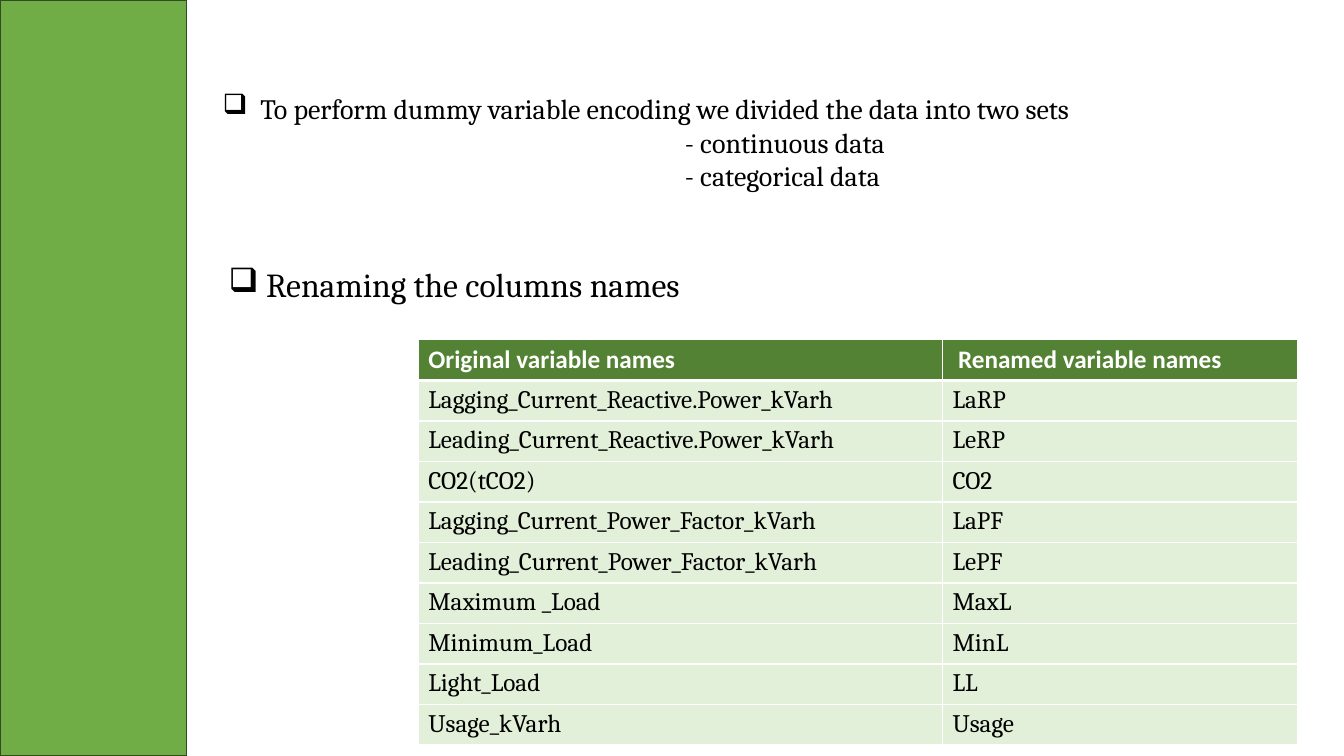
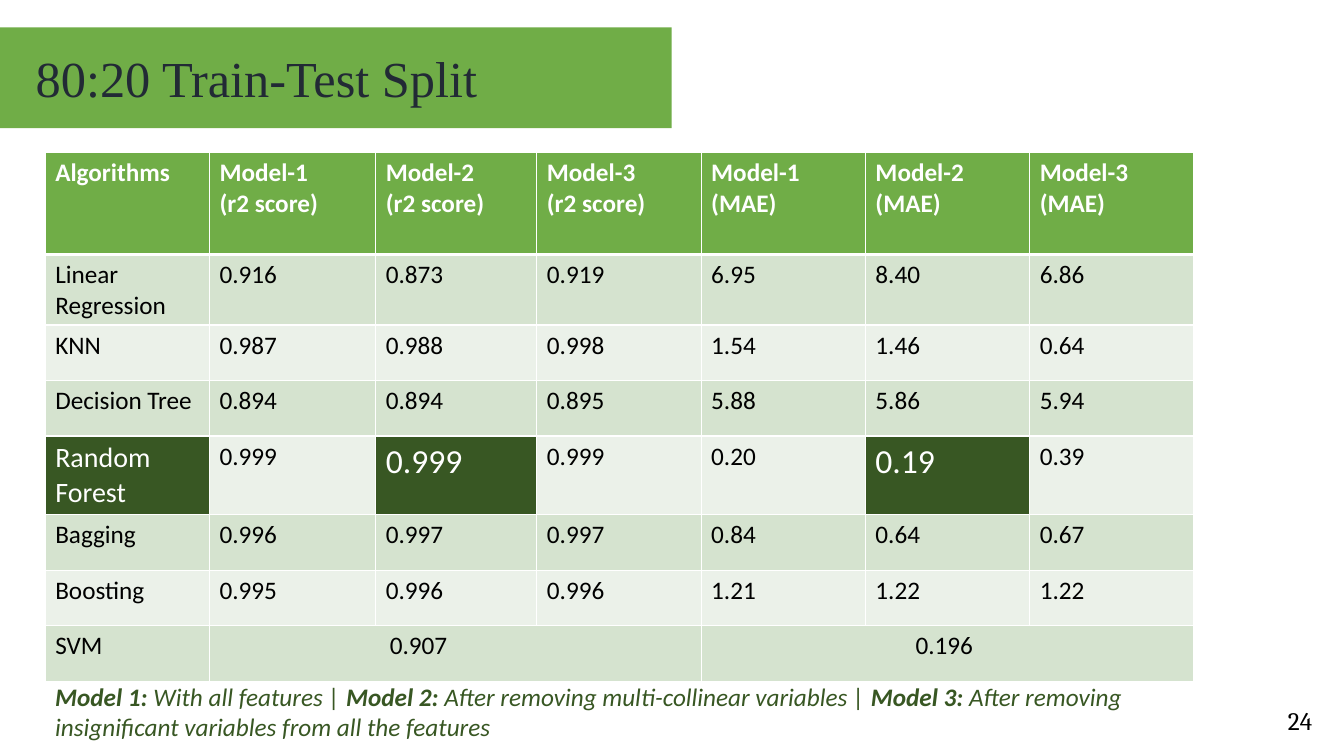
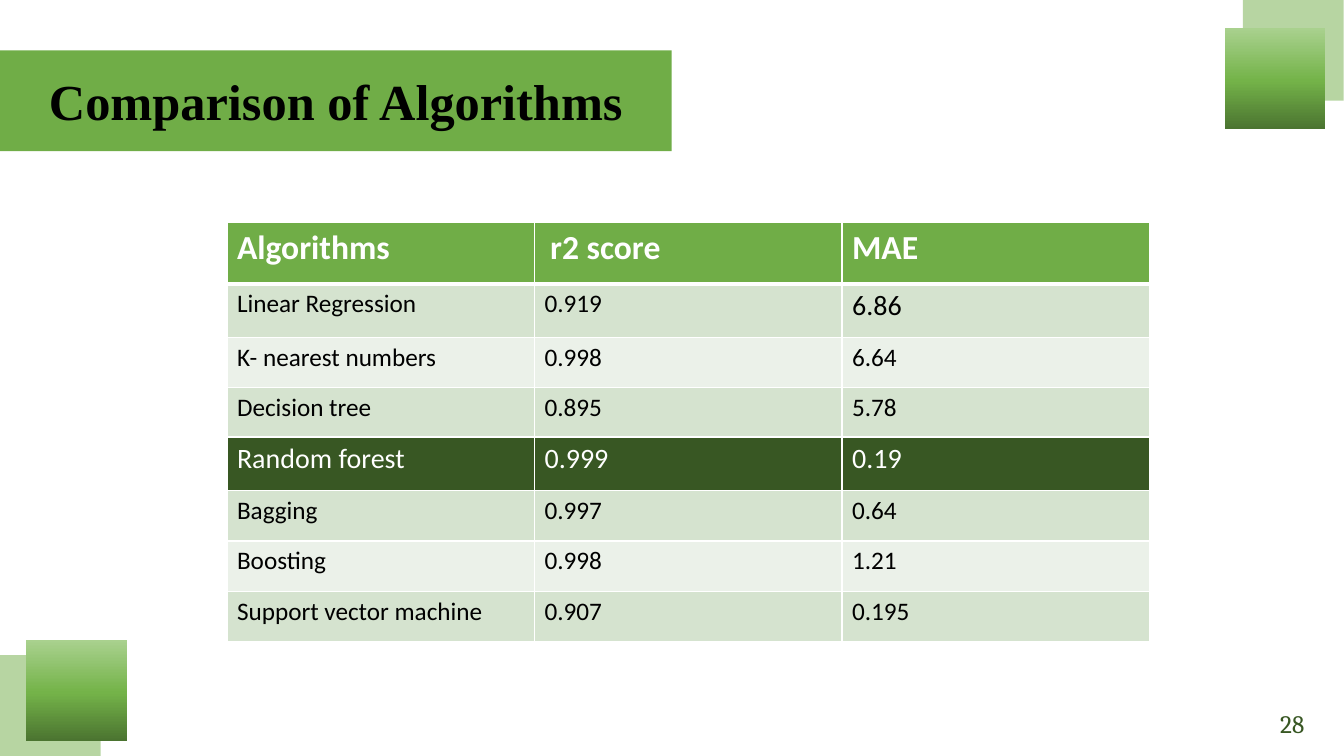
"""Builds three slides on data preparation and algorithm comparison."""
from dataclasses import dataclass, field

from lxml.etree import SubElement
from pptx import Presentation
from pptx.dml.color import RGBColor
from pptx.enum.shapes import MSO_SHAPE
from pptx.enum.text import MSO_ANCHOR, PP_ALIGN
from pptx.oxml.ns import qn
from pptx.shapes.autoshape import Shape
from pptx.slide import Slide
from pptx.table import _Cell
from pptx.text.text import TextFrame, _Paragraph
from pptx.util import Cm, Pt

GREEN = RGBColor(0x70, 0xAD, 0x47)
MID_GREEN = RGBColor(0x54, 0x82, 0x35)
DARK_GREEN = RGBColor(0x38, 0x57, 0x23)
EDGE_GREEN = RGBColor(0x31, 0x4C, 0x1F)
MINT = RGBColor(0xE2, 0xF0, 0xD9)
BAND_ODD = RGBColor(0xD5, 0xE3, 0xCF)
BAND_EVEN = RGBColor(0xEB, 0xF1, 0xE9)
SLATE = RGBColor(0x22, 0x2A, 0x35)
BLACK = RGBColor(0, 0, 0)
WHITE = RGBColor(0xFF, 0xFF, 0xFF)
GRADIENT = ((0, RGBColor(0x4B, 0x74, 0x30)),
            (48, RGBColor(0x74, 0xB3, 0x49)),
            (100, RGBColor(0xA9, 0xD1, 0x8E)))
SANS, SERIF, TITLE_FONT = "Calibri", "Cambria", "Times New Roman"
SQUARE = 2.54
CAPTION = (("Model 1: ", "With all features | "),
           ("Model 2: ", "After removing multi-collinear variables | "),
           ("Model 3: ", "After removing insignificant variables from all the features"))


@dataclass(frozen=True)
class Box:
    """Position and size in centimetres."""
    left: float
    top: float
    width: float
    height: float

    def emu(self) -> tuple[Cm, Cm, Cm, Cm]:
        return Cm(self.left), Cm(self.top), Cm(self.width), Cm(self.height)


@dataclass(frozen=True)
class Style:
    """Character formatting."""
    size: float
    font: str
    color: RGBColor = BLACK
    bold: bool = False
    italic: bool = False


@dataclass(frozen=True)
class Grid:
    """A table with its sizes, colours and exceptions by (row, column)."""
    left: float
    top: float
    cols: list[float]
    heights: list[float]
    rows: list[list[str]]
    head_fill: RGBColor = GREEN
    bands: tuple[RGBColor, RGBColor] = (BAND_ODD, BAND_EVEN)
    head_size: float = 18
    body_font: str = SANS
    sizes: dict[tuple[int, int], float] = field(default_factory=dict)
    dark: frozenset[tuple[int, int]] = frozenset()
    indents: dict[tuple[int, int], float] = field(default_factory=dict)
    merges: tuple[tuple[int, int, int], ...] = ()


def add_run(p: _Paragraph, text: str, style: Style) -> None:
    r = p.add_run()
    r.text = text
    r.font.size, r.font.name = Pt(style.size), style.font
    r.font.bold, r.font.italic = style.bold, style.italic
    r.font.color.rgb = style.color


def indent(p: _Paragraph, left: float, first: float = 0) -> None:
    pPr = p._p.get_or_add_pPr()
    pPr.set("marL", str(Cm(left)))
    pPr.set("indent", str(Cm(first)))


def add_bullet(p: _Paragraph) -> None:
    indent(p, 0.95, -0.95)
    SubElement(p._p.get_or_add_pPr(), qn("a:buChar"), char="❑")


def add_text(s: Slide, box: Box) -> TextFrame:
    tf = s.shapes.add_textbox(*box.emu()).text_frame
    tf.word_wrap = True
    return tf


def add_rect(s: Slide, box: Box) -> Shape:
    sp = s.shapes.add_shape(MSO_SHAPE.RECTANGLE, *box.emu())
    sp.shadow.inherit = False
    sp.fill.solid()
    sp.fill.fore_color.rgb = GREEN
    sp.line.fill.background()
    return sp


def add_title(s: Slide, top: float, text: str, style: Style, align: PP_ALIGN) -> None:
    tf = add_rect(s, Box(0, top, 16.93, 2.54)).text_frame
    tf.vertical_anchor = MSO_ANCHOR.MIDDLE
    if align == PP_ALIGN.LEFT:
        tf.margin_left = Cm(0.9)
    p = tf.paragraphs[0]
    p.alignment = align
    add_run(p, text, style)


def add_number(s: Slide, left: float, top: float, text: str, color: RGBColor) -> None:
    tf = add_text(s, Box(left, top, 7.62, 1.02))
    tf.vertical_anchor = MSO_ANCHOR.MIDDLE
    p = tf.paragraphs[0]
    p.alignment = PP_ALIGN.RIGHT
    add_run(p, text, Style(18, SERIF, color))


def add_corner(s: Slide, back: tuple[float, float], front: tuple[float, float]) -> None:
    pale = add_rect(s, Box(*back, SQUARE, SQUARE))
    color = pale.fill._xPr.find(qn("a:solidFill")).find(qn("a:srgbClr"))
    SubElement(color, qn("a:alpha"), val="50000")
    shaded = add_rect(s, Box(*front, SQUARE, SQUARE))
    shaded.fill.gradient()
    shaded.fill.gradient_angle = 90
    stops = shaded.fill._xPr.find(qn("a:gradFill")).find(qn("a:gsLst"))
    for stop in list(stops):
        stops.remove(stop)
    for percent, rgb in GRADIENT:
        stop = SubElement(stops, qn("a:gs"), pos=str(percent * 1000))
        SubElement(stop, qn("a:srgbClr"), val=str(rgb))


def set_borders(cell: _Cell, row: int) -> None:
    tcPr = cell._tc.get_or_add_tcPr()
    widths = {"L": 1, "R": 1, "T": 3 if row == 1 else 1, "B": 3 if row == 0 else 1}
    for side, width in widths.items():
        ln = SubElement(tcPr, qn(f"a:ln{side}"), w=str(Pt(width)))
        SubElement(SubElement(ln, qn("a:solidFill")), qn("a:srgbClr"), val=str(WHITE))


def fill_cell(cell: _Cell, grid: Grid, row: int, col: int) -> None:
    key = (row, col)
    head, dark = row == 0, key in grid.dark
    set_borders(cell, row)
    cell.fill.solid()
    band = grid.head_fill if head else grid.bands[(row - 1) % 2]
    cell.fill.fore_color.rgb = DARK_GREEN if dark else band
    if cell.is_spanned:
        return
    style = Style(grid.sizes.get(key, grid.head_size if head else 18),
                  SANS if head else grid.body_font,
                  WHITE if head or dark else BLACK, bold=head)
    tf = cell.text_frame
    for i, line in enumerate(grid.rows[row][col].split("\n")):
        p = tf.add_paragraph() if i else tf.paragraphs[0]
        if key in grid.indents:
            indent(p, grid.indents[key])
        add_run(p, line, style)


def add_grid(s: Slide, grid: Grid) -> None:
    box = Box(grid.left, grid.top, sum(grid.cols), sum(grid.heights))
    table = s.shapes.add_table(len(grid.rows), len(grid.cols), *box.emu()).table
    for column, width in zip(table.columns, grid.cols):
        column.width = Cm(width)
    for line, height in zip(table.rows, grid.heights):
        line.height = Cm(height)
    for row, first, last in grid.merges:
        table.cell(row, first).merge(table.cell(row, last))
    for row in range(len(grid.rows)):
        for col in range(len(grid.cols)):
            fill_cell(table.cell(row, col), grid, row, col)


def build_renaming(s: Slide) -> None:
    add_grid(s, Grid(
        10.54, 8.56, [13.21, 8.94], [1.02] * 10,
        [["Original variable names", "Renamed variable names"],
         ["Lagging_Current_Reactive.Power_kVarh", "LaRP"],
         ["Leading_Current_Reactive.Power_kVarh", "LeRP"],
         ["CO2(tCO2)", "CO2"],
         ["Lagging_Current_Power_Factor_kVarh", "LaPF"],
         ["Leading_Current_Power_Factor_kVarh", "LePF"],
         ["Maximum _Load", "MaxL"],
         ["Minimum_Load", "MinL"],
         ["Light_Load", "LL"],
         ["Usage_kVarh", "Usage"]],
        head_fill=MID_GREEN, bands=(MINT, MINT), body_font=SERIF,
        indents={(0, 1): 0.14}))
    tf = add_text(s, Box(5.36, 2.18, 23.19, 2.82))
    p = tf.paragraphs[0]
    add_bullet(p)
    style = Style(20, SERIF)
    add_run(p, "To perform dummy variable encoding we divided the data into two sets", style)
    for kind in ("continuous", "categorical"):
        p = tf.add_paragraph()
        indent(p, 11.65)
        add_run(p, f"- {kind} data", style)
    p = add_text(s, Box(5.51, 6.53, 12.37, 1.27)).paragraphs[0]
    add_bullet(p)
    add_run(p, "Renaming the columns names", Style(24, SERIF))
    sidebar = add_rect(s, Box(0, 0, 4.7, 19.05))
    sidebar.line.color.rgb = EDGE_GREEN
    sidebar.line.width = Pt(1)


def build_split(s: Slide) -> None:
    add_number(s, 25.7, 17.65, "24", BLACK)
    heads = [f"Model-{n}\n({score})" for score in ("r2 score", "MAE") for n in (1, 2, 3)]
    add_grid(s, Grid(
        1.14, 3.84, [4.14, 4.19, 4.06] + [4.14] * 4,
        [2.57, 1.78, 1.4, 1.4, 1.98, 1.4, 1.4, 1.4],
        [["Algorithms", *heads],
         ["Linear Regression", "0.916", "0.873", "0.919", "6.95", "8.40", "6.86"],
         ["KNN", "0.987", "0.988", "0.998", "1.54", "1.46", "0.64"],
         ["Decision Tree", "0.894", "0.894", "0.895", "5.88", "5.86", "5.94"],
         ["Random Forest", "0.999", "0.999", "0.999", "0.20", "0.19", "0.39"],
         ["Bagging", "0.996", "0.997", "0.997", "0.84", "0.64", "0.67"],
         ["Boosting", "0.995", "0.996", "0.996", "1.21", "1.22", "1.22"],
         ["SVM", "0.907", "", "", "0.196", "", ""]],
        sizes={(4, 0): 20, (4, 2): 24, (4, 5): 24},
        dark=frozenset({(4, 0), (4, 2), (4, 5)}),
        indents={(7, 1): 4.29, (7, 4): 5.15},
        merges=((7, 1, 3), (7, 4, 6))))
    add_title(s, 0.69, "80:20 Train-Test Split", Style(36, TITLE_FONT, SLATE), PP_ALIGN.LEFT)
    p = add_text(s, Box(1.14, 17.04, 29.18, 1.8)).paragraphs[0]
    for label, meaning in CAPTION:
        add_run(p, label, Style(18, SANS, DARK_GREEN, bold=True, italic=True))
        add_run(p, meaning, Style(18, SANS, DARK_GREEN, italic=True))


def build_comparison(s: Slide) -> None:
    add_number(s, 25.5, 17.73, "28", DARK_GREEN)
    best = [(4, col) for col in range(3)]
    add_grid(s, Grid(
        5.72, 5.6, [7.75] * 3, [1.55, 1.35, 1.27, 1.24, 1.35, 1.27, 1.27, 1.27],
        [["Algorithms", "r2 score", "MAE"],
         ["Linear Regression", "0.919", "6.86"],
         ["K- nearest numbers", "0.998", "6.64"],
         ["Decision tree", "0.895", "5.78"],
         ["Random forest", "0.999", "0.19"],
         ["Bagging", "0.997", "0.64"],
         ["Boosting", "0.998", "1.21"],
         ["Support vector machine", "0.907", "0.195"]],
        head_size=24, sizes={(1, 2): 20} | dict.fromkeys(best, 20),
        dark=frozenset(best), indents={(0, 1): 0.14}))
    add_corner(s, (0, 16.51), (0.66, 16.13))
    add_corner(s, (31.32, 0), (30.86, 0.71))
    add_title(s, 1.27, "Comparison of Algorithms", Style(36, TITLE_FONT, bold=True),
              PP_ALIGN.CENTER)


def main() -> None:
    prs = Presentation()
    prs.slide_width, prs.slide_height = Cm(33.87), Cm(19.05)
    for build in (build_renaming, build_split, build_comparison):
        build(prs.slides.add_slide(prs.slide_layouts[6]))
    prs.save("out.pptx")


if __name__ == "__main__":
    main()
